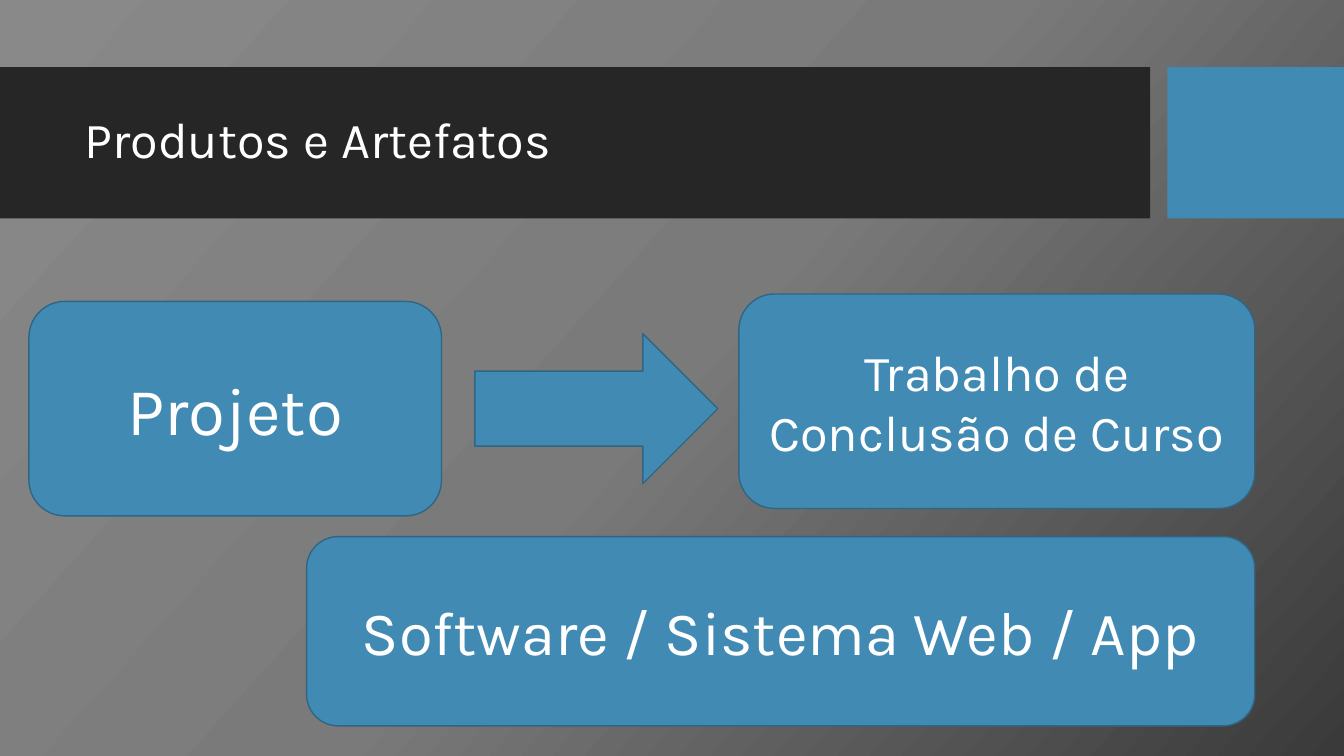
"""Build the slide about the products and artefacts of a project."""
import copy
from dataclasses import dataclass

import pptx
import pptx.dml.color
import pptx.enum.shapes
import pptx.enum.text
import pptx.oxml.ns
import pptx.shapes.autoshape
import pptx.slide
import pptx.util

Pt = pptx.util.Pt
RGB = pptx.dml.color.RGBColor.from_string
Kind = pptx.enum.shapes.MSO_SHAPE
Align = pptx.enum.text.PP_ALIGN


@dataclass(frozen=True)
class Theme:
    font: str = "Karla"
    white: str = "FFFFFF"
    band: str = "262626"
    blue: str = "418AB3"
    outline: str = "306684"
    backdrop: tuple[str, ...] = ("898989", "7A7A7A", "3A3A3A")
    backdrop_angle: float = 318
    heading: float = 36
    medium: float = 44
    large: float = 48


@dataclass(frozen=True)
class Block:
    left: float
    top: float
    width: float
    height: float
    kind: Kind = Kind.ROUNDED_RECTANGLE
    fill: str = Theme.blue
    outline: str | None = Theme.outline
    text: str = ""
    size: float = Theme.heading


THEME = Theme()
BAND_TOP, BAND_HEIGHT = 48, 108

BLOCKS = (
    Block(0, BAND_TOP, 821.5, BAND_HEIGHT, Kind.RECTANGLE, THEME.band, None),
    Block(833.8, BAND_TOP, 126.2, BAND_HEIGHT, Kind.RECTANGLE, outline=None),
    Block(20.7, 215.3, 294.7, 153.2, text="Projeto", size=THEME.large),
    Block(527.8, 210, 368.5, 153.2, text="Trabalho de Conclusão de Curso"),
    Block(339.2, 238.3, 173.6, 107.2, Kind.RIGHT_ARROW),
    Block(219, 383.3, 677.3, 135.2, text="Software / Sistema Web / App", size=THEME.medium),
)


def write(
    shape: pptx.shapes.autoshape.Shape,
    text: str,
    *,
    size: float,
    align: Align = Align.CENTER,
    line_spacing: float | None = None,
) -> None:
    frame = shape.text_frame
    frame.word_wrap = True
    frame.vertical_anchor = pptx.enum.text.MSO_ANCHOR.MIDDLE
    paragraph = frame.paragraphs[0]
    paragraph.alignment = align
    paragraph.line_spacing = line_spacing
    run = paragraph.add_run()
    run.text = text
    run.font.name = THEME.font
    run.font.size = Pt(size)
    run.font.color.rgb = RGB(THEME.white)


def draw_block(slide: pptx.slide.Slide, block: Block) -> None:
    shape = slide.shapes.add_shape(
        block.kind, Pt(block.left), Pt(block.top), Pt(block.width), Pt(block.height)
    )
    shape.shadow.inherit = False
    shape.fill.solid()
    shape.fill.fore_color.rgb = RGB(block.fill)
    if block.outline:
        shape.line.color.rgb = RGB(block.outline)
        shape.line.width = Pt(1)
    else:
        shape.line.fill.background()
    if block.text:
        write(shape, block.text, size=block.size)


def paint_backdrop(slide: pptx.slide.Slide) -> None:
    fill = slide.background.fill
    fill.gradient()
    fill.gradient_angle = THEME.backdrop_angle
    stop_list = slide.element.find(".//" + pptx.oxml.ns.qn("a:gsLst"))
    stop_list.append(copy.deepcopy(stop_list[-1]))
    last = len(THEME.backdrop) - 1
    for index, (stop, color) in enumerate(zip(fill.gradient_stops, THEME.backdrop)):
        stop.position = index / last
        stop.color.rgb = RGB(color)


def main() -> None:
    deck = pptx.Presentation()
    deck.slide_width, deck.slide_height = Pt(960), Pt(540)
    slide = deck.slides.add_slide(deck.slide_layouts[6])
    paint_backdrop(slide)
    for block in BLOCKS:
        draw_block(slide, block)
    heading = slide.shapes.add_textbox(Pt(53.3), Pt(59), Pt(756.7), Pt(85))
    write(heading, "Produtos e Artefatos", size=THEME.heading, align=Align.LEFT, line_spacing=0.9)
    deck.save("out.pptx")


main()
